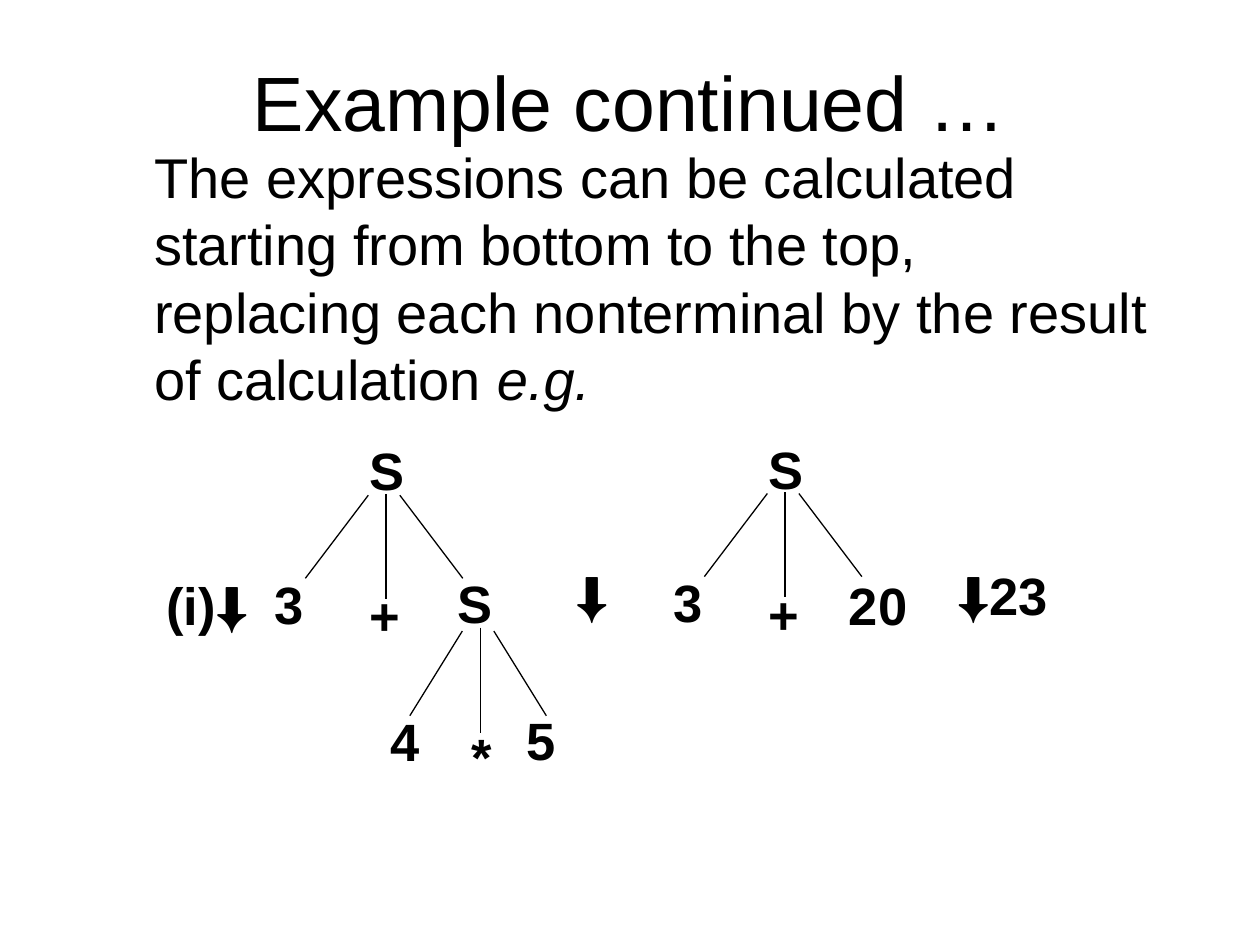
import pptx
import pptx.dml.color
import pptx.enum.shapes
import pptx.enum.text
import pptx.oxml
import pptx.util
from pptx.util import Pt

COLORS = {"ink": "000000"}
ALIGN = pptx.enum.text.PP_ALIGN
ANCHOR = pptx.enum.text.MSO_ANCHOR
SANS, SERIF = "Arial", "Times New Roman"
LINE_HEIGHT = 1.2
ARROW = ("⬇", {"name": SERIF})

# Offsets from the top left of the parent's label, in points
UPPER_BRANCHES = [((6.5, 36), (-29.5, 83.5)), ((24.5, 36), (60.5, 83.5)),
                  ((16.6, 35.3), (16.6, 95))]
LOWER_BRANCHES = [((10, 38), (-20, 86.4)), ((28, 38), (58, 86.4)),
                  ((20.2, 36), (20.2, 96.5))]


class ParseSlide:
    """Holds the style and the slide being built."""

    def __init__(self, presentation):
        self.slide = presentation.slides.add_slide(presentation.slide_layouts[5])
        self.ink = pptx.dml.color.RGBColor.from_string(COLORS["ink"])

    def fill_text(self, shape, runs, size, align=ALIGN.LEFT, anchor=ANCHOR.TOP, bold=False):
        """Write runs, each a (text, font overrides) pair, as one paragraph."""
        frame = shape.text_frame
        frame_format = {"word_wrap": True, "vertical_anchor": anchor,
                        "auto_size": pptx.enum.text.MSO_AUTO_SIZE.NONE,
                        "margin_left": Pt(7.2), "margin_right": Pt(7.2),
                        "margin_top": Pt(3.6), "margin_bottom": Pt(3.6)}
        for key, value in frame_format.items():
            setattr(frame, key, value)
        paragraph = frame.paragraphs[0]
        paragraph.alignment = align
        paragraph.line_spacing = Pt(size * LINE_HEIGHT)
        for text, overrides in runs:
            run = paragraph.add_run()
            run.text = text
            font_format = {"name": SANS, "size": Pt(size), "bold": bold, **overrides}
            for key, value in font_format.items():
                setattr(run.font, key, value)
            run.font.color.rgb = self.ink
        return paragraph

    def title(self, text, left, top, width, height):
        shape = self.slide.shapes.title
        place = {"left": left, "top": top, "width": width, "height": height}
        for key, value in place.items():
            setattr(shape, key, Pt(value))
        self.fill_text(shape, [(text, {})], 44, ALIGN.CENTER, ANCHOR.MIDDLE)

    def body(self, runs, left, top, width, height, indent):
        box = self.slide.shapes.add_textbox(Pt(left), Pt(top), Pt(width), Pt(height))
        paragraph = self.fill_text(box, runs, 32)
        paragraph._p.get_or_add_pPr().set("marL", str(Pt(indent)))

    def label(self, runs, left, top, width=66):
        box = self.slide.shapes.add_textbox(Pt(left), Pt(top), Pt(width), Pt(43.2))
        self.fill_text(box, runs, 30, bold=True)

    def branch(self, start, end):
        line = self.slide.shapes.add_connector(
            pptx.enum.shapes.MSO_CONNECTOR.STRAIGHT, *(Pt(v) for v in (*start, *end)))
        line.line.color.rgb = self.ink
        line.line.width = Pt(0.75)
        line._element.spPr.append(pptx.oxml.parse_xml(
            '<a:effectLst xmlns:a="http://schemas.openxmlformats.org/drawingml/2006/main"/>'))

    def tree(self, root, children, branches):
        """Draw an S at root with its child labels and branches, all relative to it."""
        def at(offset):
            return root[0] + offset[0], root[1] + offset[1]

        self.label([("S", {})], *root)
        for text, offset in children:
            self.label([(text, {})], *at(offset))
        for start, end in branches:
            self.branch(at(start), at(end))


def main():
    presentation = pptx.Presentation()
    presentation.slide_width, presentation.slide_height = Pt(720), Pt(540)
    page = ParseSlide(presentation)

    page.title("Example continued …", 54, 12.24, 612, 90)
    page.body([("The expressions can be calculated starting from bottom to the top, "
                "replacing each nonterminal by the result of calculation ", {}),
               ("e.g.", {"italic": True})], 54, 78, 612, 324, indent=27)

    operand, plus = ("3", (-54, 76.3)), ("+", (0, 82.8))
    page.tree((204, 247), [operand, plus], UPPER_BRANCHES)
    page.tree((254.2, 322.6),
              [("4", (-38.2, 79.2)), ("*", (8, 87.8)), ("5", (39.6, 78.5))],
              LOWER_BRANCHES)
    page.tree((432, 246), [operand, plus, ("20", (46, 78))], UPPER_BRANCHES)

    steps = [([("(i)", {}), ARROW], 88, 324),
             ([ARROW], 322, 318),
             ([ARROW, ("23", {})], 540, 318)]
    for runs, left, top in steps:
        page.label(runs, left, top, width=96)

    presentation.save("out.pptx")


if __name__ == "__main__":
    main()
